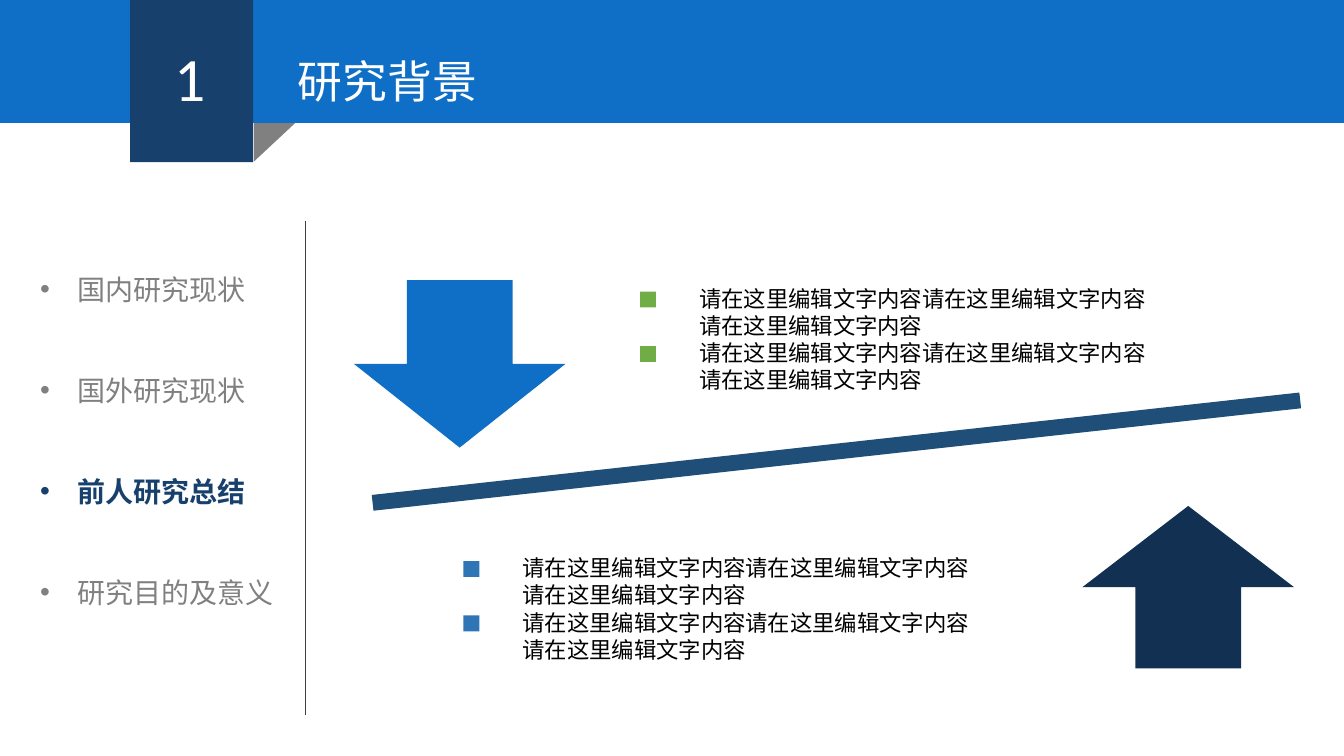
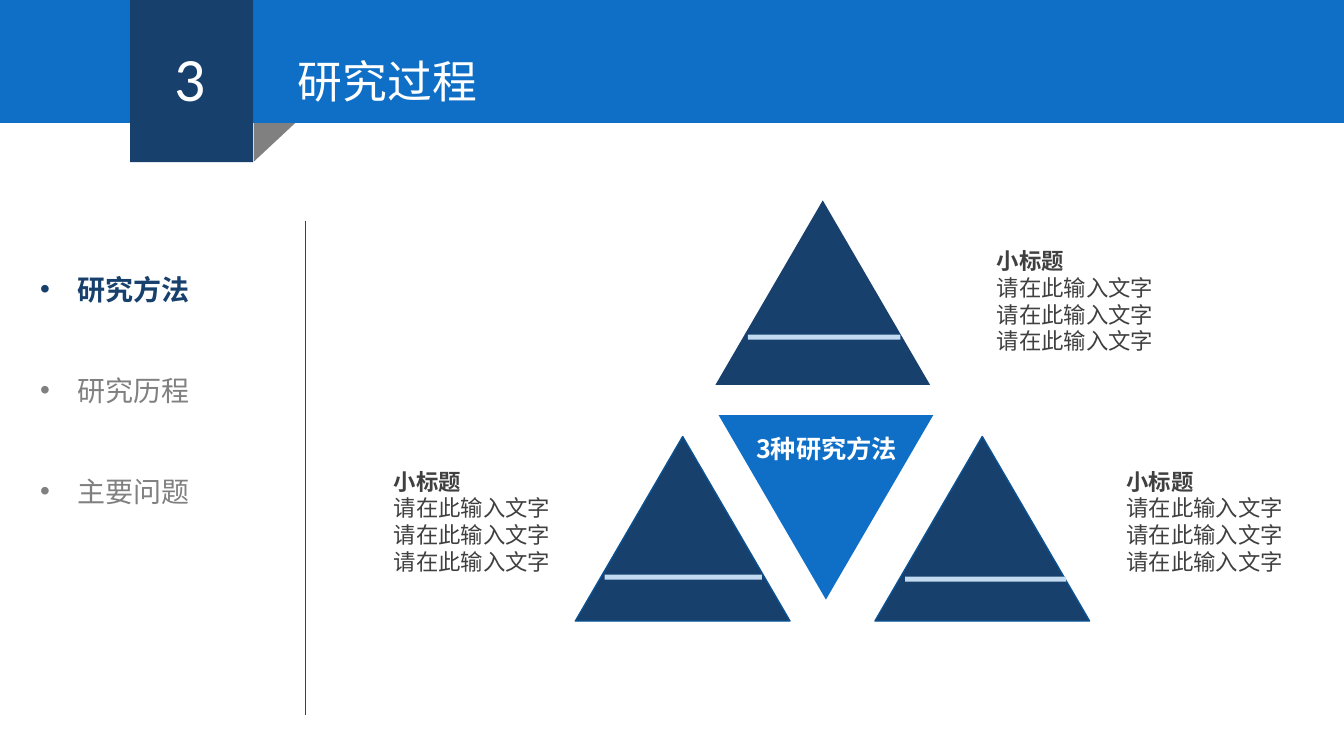
from dataclasses import dataclass
from typing import Optional

from lxml.etree import SubElement
from pptx import Presentation
from pptx.dml.color import RGBColor
from pptx.enum.shapes import MSO_CONNECTOR, MSO_SHAPE
from pptx.enum.text import MSO_AUTO_SIZE, PP_ALIGN
from pptx.oxml.ns import qn
from pptx.util import Cm, Pt

# Colours and fonts
BLUE = RGBColor(0x0F, 0x6F, 0xC6)
NAVY = RGBColor(0x17, 0x40, 0x6D)
DEEP_NAVY = RGBColor(0x11, 0x30, 0x52)
STEEL = RGBColor(0x1F, 0x4E, 0x78)
MID_BLUE = RGBColor(0x2E, 0x75, 0xB5)
EDGE_BLUE = RGBColor(0x0B, 0x52, 0x92)
PALE_BLUE = RGBColor(0xC2, 0xDB, 0xF1)
GREEN = RGBColor(0x70, 0xAD, 0x46)
GREY = RGBColor(0x80, 0x80, 0x80)
DARK_GREY = RGBColor(0x40, 0x40, 0x40)
BLACK = RGBColor(0, 0, 0)
WHITE = RGBColor(0xFF, 0xFF, 0xFF)
LATIN_FONT = "Calibri"
CHINESE_FONT = "Noto Sans CJK SC"

PAGE_WIDTH, PAGE_HEIGHT = 33.87, 19.05
EDIT_TEXT = "请在这里编辑文字内容"
INPUT_TEXT = "请在此输入文字"


@dataclass(frozen=True)
class Section:
    number: str
    title: str
    topics: tuple[str, ...]
    current: str


@dataclass(frozen=True)
class PointGroup:
    left: float
    top: float
    color: RGBColor


@dataclass(frozen=True)
class Method:
    left: float
    top: float
    bar: tuple[float, float, float]
    caption: tuple[float, float]
    edge: Optional[RGBColor] = None


# Basic drawing
def add_block(page, kind, left: float, top: float, width: float, height: float,
              color: RGBColor, edge: Optional[RGBColor] = None,
              rotation: float = 0):
    block = page.shapes.add_shape(kind, Cm(left), Cm(top), Cm(width), Cm(height))
    block.shadow.inherit = False
    block.rotation = rotation
    block.fill.solid()
    block.fill.fore_color.rgb = color
    if edge is None:
        block.line.fill.background()
    else:
        block.line.color.rgb = edge
        block.line.width = Pt(1)
    return block


def add_box(page, left: float, top: float, width: float, height: float):
    box = page.shapes.add_textbox(Cm(left), Cm(top), Cm(width), Cm(height))
    box.text_frame.word_wrap = True
    box.text_frame.auto_size = MSO_AUTO_SIZE.SHAPE_TO_FIT_TEXT
    return box


def write(box, text: str, *, size: float, color: RGBColor, bold: bool = False,
          font: str = CHINESE_FONT, align=PP_ALIGN.LEFT):
    """Add one paragraph to the box and return it."""
    frame = box.text_frame
    para = frame.add_paragraph() if frame.text else frame.paragraphs[0]
    para.alignment = align
    span = para.add_run()
    span.text = text
    span.font.size = Pt(size)
    span.font.bold = bold
    span.font.name = font
    span.font.color.rgb = color
    SubElement(span.font._element, qn("a:ea")).set("typeface", CHINESE_FONT)
    return para


def add_bullet(para, indent: float) -> None:
    properties = para._p.get_or_add_pPr()
    properties.set("marL", str(Cm(indent)))
    properties.set("indent", str(-Cm(indent)))
    SubElement(properties, qn("a:buFont")).set("typeface", "Arial")
    SubElement(properties, qn("a:buChar")).set("char", "•")


# Parts that every slide shares
def add_divider(page) -> None:
    divider = page.shapes.add_connector(
        MSO_CONNECTOR.STRAIGHT, Cm(7.7), Cm(5.56), Cm(7.7), Cm(18.01))
    divider.line.color.rgb = DARK_GREY
    divider.line.width = Pt(0.5)
    SubElement(divider._element.spPr, qn("a:effectLst"))


def add_topics(page, section: Section) -> None:
    box = add_box(page, 0.76, 5.05, 8.15, 0.25 + 2.57 * len(section.topics))
    for topic in section.topics:
        active = topic == section.current
        para = write(box, topic, size=20, font=LATIN_FONT, bold=active,
                     color=NAVY if active else GREY)
        para.line_spacing = 3.0
        add_bullet(para, 0.95)


def add_header(page, section: Section) -> None:
    add_block(page, MSO_SHAPE.RECTANGLE, 0, 0, PAGE_WIDTH, 3.1, BLUE)
    add_block(page, MSO_SHAPE.RECTANGLE, 3.28, 0, 3.1, 4.09, NAVY)
    add_block(page, MSO_SHAPE.RIGHT_TRIANGLE, 6.43, 3.07, 0.97, 1.04, GREY,
              rotation=90)
    number = add_box(page, 4.14, 0.89, 1.37, 2.13)
    write(number, section.number, size=44, color=WHITE, font=LATIN_FONT)
    title = add_box(page, 7.26, 1.22, 9.93, 1.63)
    write(title, section.title, size=32, color=WHITE, font=LATIN_FONT)


def add_page(deck, section: Section):
    page = deck.slides.add_slide(deck.slide_layouts[6])
    add_divider(page)
    add_topics(page, section)
    add_header(page, section)
    return page


# Background slide
def add_points(page, group: PointGroup) -> None:
    for index in range(2):
        top = group.top + 1.37 * index
        box = add_box(page, group.left, top, 12.67, 2.31)
        for text in (EDIT_TEXT * 2, EDIT_TEXT):
            write(box, text, size=16, color=BLACK)
        add_block(page, MSO_SHAPE.RECTANGLE, group.left - 1.24, top + 0.29,
                  0.4, 0.4, group.color)


def build_background(deck) -> None:
    page = add_page(deck, Section(
        "1", "研究背景",
        ("国内研究现状", "国外研究现状", "前人研究总结", "研究目的及意义"),
        "前人研究总结"))
    add_block(page, MSO_SHAPE.DOWN_ARROW, 8.92, 7.06, 5.33, 4.22, BLUE)
    add_block(page, MSO_SHAPE.UP_ARROW, 27.28, 12.75, 5.33, 4.09, DEEP_NAVY)
    add_block(page, MSO_SHAPE.RECTANGLE, 9.32, 11.18, 23.52, 0.4, STEEL,
              rotation=-6.3)
    for group in (PointGroup(17.37, 7.06, GREEN),
                  PointGroup(12.92, 13.85, MID_BLUE)):
        add_points(page, group)


# Process slide
METHODS = (
    Method(18.03, 5.05, (18.85, 8.43, 3.84), (24.87, 6.1)),
    Method(14.5, 11, (15.24, 14.48, 3.96), (9.68, 11.66), EDGE_BLUE),
    Method(22.05, 11, (22.81, 14.53, 4.06), (28.14, 11.66), EDGE_BLUE),
)


def add_method(page, method: Method) -> None:
    add_block(page, MSO_SHAPE.ISOSCELES_TRIANGLE, method.left, method.top,
              5.41, 4.65, NAVY, edge=method.edge)
    left, top, width = method.bar
    add_block(page, MSO_SHAPE.RECTANGLE, left, top, width, 0.13, PALE_BLUE)
    caption = add_box(page, *method.caption, 4.98, 4.37)
    write(caption, "小标题", size=16, color=DARK_GREY, bold=True)
    for _ in range(3):
        write(caption, INPUT_TEXT, size=16, color=DARK_GREY)


def build_process(deck) -> None:
    page = add_page(deck, Section(
        "3", "研究过程", ("研究方法", "研究历程", "主要问题"), "研究方法"))
    for method in METHODS:
        add_method(page, method)
    add_block(page, MSO_SHAPE.FLOWCHART_MERGE, 18.11, 10.46, 5.41, 4.65, BLUE)
    label = add_box(page, 17.96, 10.8, 5.74, 1.02)
    write(label, "3种研究方法", size=18, color=WHITE, bold=True,
          align=PP_ALIGN.CENTER)


def main() -> None:
    deck = Presentation()
    deck.slide_width, deck.slide_height = Cm(PAGE_WIDTH), Cm(PAGE_HEIGHT)
    build_background(deck)
    build_process(deck)
    deck.save("out.pptx")


if __name__ == "__main__":
    main()
